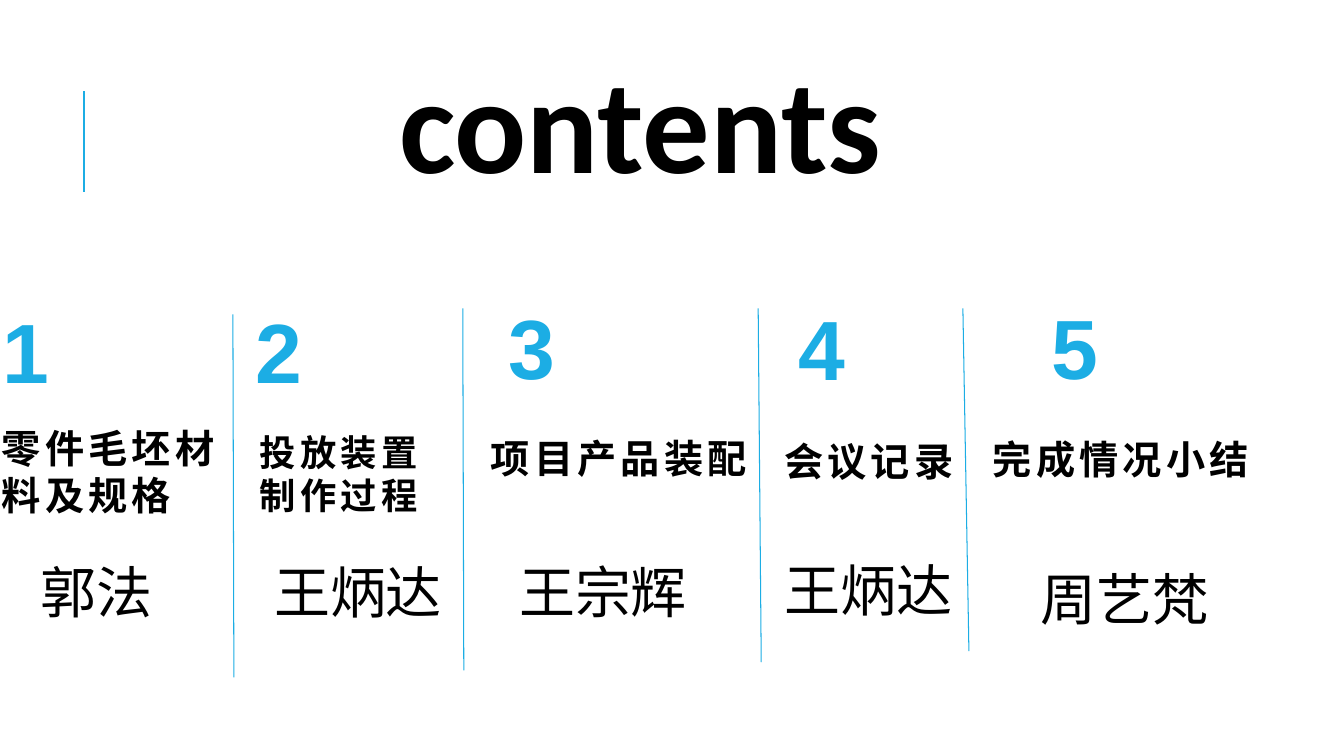
from pptx import Presentation
from pptx.dml.color import RGBColor
from pptx.enum.shapes import MSO_CONNECTOR
from pptx.enum.text import MSO_ANCHOR, MSO_AUTO_SIZE, PP_ALIGN
from pptx.util import Inches, Pt
from lxml import etree

BLUE = RGBColor(0x1C, 0xAD, 0xE4)
BLACK = RGBColor(0, 0, 0)
STRAIGHT = MSO_CONNECTOR.STRAIGHT
TOP, BOTTOM = MSO_ANCHOR.TOP, MSO_ANCHOR.BOTTOM
LEFT = PP_ALIGN.LEFT
NO_FIT = MSO_AUTO_SIZE.NONE
EFFECTS = "{http://schemas.openxmlformats.org/drawingml/2006/main}effectLst"

FORMATS = {
    "title": {"size": Pt(96), "name": "Calibri", "bold": True},
    "number": {"size": Pt(60), "name": "Arial", "bold": True},
    "topic": {"size": Pt(28), "name": "Arial", "bold": True},
    "person": {"size": Pt(40), "name": "Calibri", "bold": False},
}


def write(box, lines, role, color=BLACK, anchor=TOP, spacing=0):
    frame = box.text_frame
    frame.word_wrap = True
    frame.auto_size = NO_FIT
    frame.vertical_anchor = anchor
    frame.text = lines
    for paragraph in frame.paragraphs:
        paragraph.alignment = LEFT
        for run in paragraph.runs:
            for key, value in FORMATS[role].items():
                setattr(run.font, key, value)
            run.font.color.rgb = color
            if spacing:
                run.font._element.set("spc", str(spacing))


prs = Presentation()
prs.slide_width, prs.slide_height = Inches(13.33), Inches(7.5)
slide = prs.slides.add_slide(prs.slide_layouts[5])
shapes = slide.shapes

title = shapes.title
title.left, title.top = Inches(3.86), Inches(0.34)
title.width, title.height = Inches(8.62), Inches(1.72)
write(title, "contents", "title")

sections = [
    ((-0.07, 1.96), "零件毛坯材料及规格", (-0.08, 4.26, 2.56), "郭法", (0.3, 5.48)),
    ((2.44, 1.96), "投放装置\n制作过程", (2.48, 4.25, 3.24), "王炳达", (2.62, 5.48)),
    ((4.95, 1.92), "项目产品装配", (4.77, 3.89, 3.24), "王宗辉", (5.05, 5.48)),
    ((7.82, 1.93), "会议记录", (7.68, 3.92, 3.6), "王炳达", (7.68, 5.46)),
    ((10.33, 1.92), "完成情况小结", (9.75, 3.91, 3.24), "周艺梵", (10.22, 5.55)),
]
for index, (number_at, topic, topic_at, person, person_at) in enumerate(sections, 1):
    number_box = shapes.add_textbox(*map(Inches, (*number_at, 2.54, 2.06)))
    write(number_box, str(index), "number", BLUE, BOTTOM, 150)
    topic_box = shapes.add_textbox(*map(Inches, (*topic_at, 0.93)))
    write(topic_box, topic, "topic", BLACK, BOTTOM, 300)
    if "\n" in topic:
        for paragraph in topic_box.text_frame.paragraphs:
            paragraph.runs[0].font.size = Pt(25.9)
    person_box = shapes.add_textbox(*map(Inches, (*person_at, 2.1, 0.77)))
    write(person_box, person, "person")

dividers = [
    (0.83, 1.9, 0.83, 0.9, 1.5),
    (2.31, 3.12, 2.32, 6.72, 0.75),
    (4.59, 3.06, 4.6, 6.65, 0.75),
    (7.52, 3.06, 7.55, 6.57, 0.75),
    (9.55, 3.06, 9.61, 6.46, 0.75),
]
for *ends, weight in dividers:
    divider = shapes.add_connector(STRAIGHT, *map(Inches, ends))
    divider.line.color.rgb = BLUE
    divider.line.width = Pt(weight)
    etree.SubElement(divider._element.spPr, EFFECTS)

prs.save("out.pptx")
